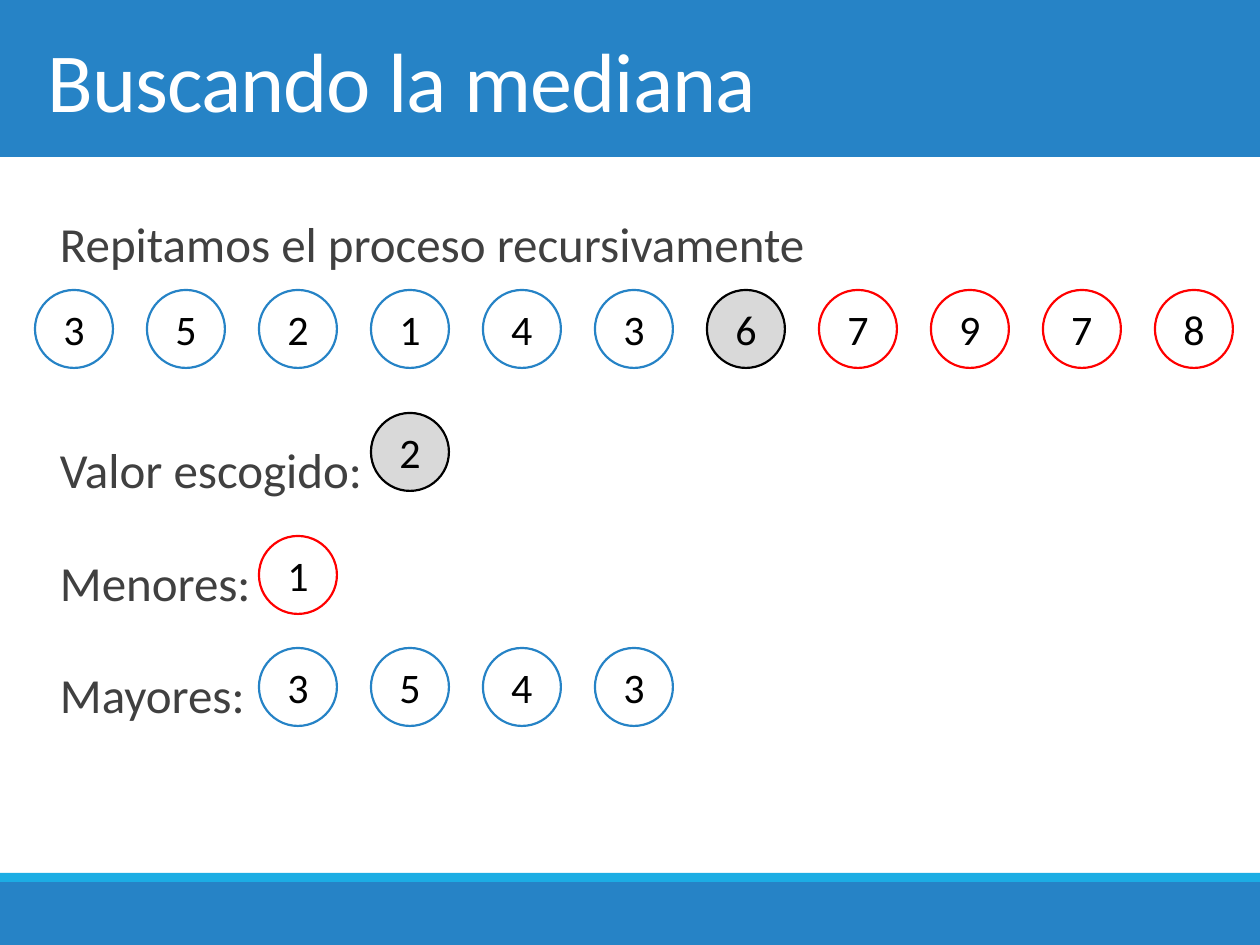
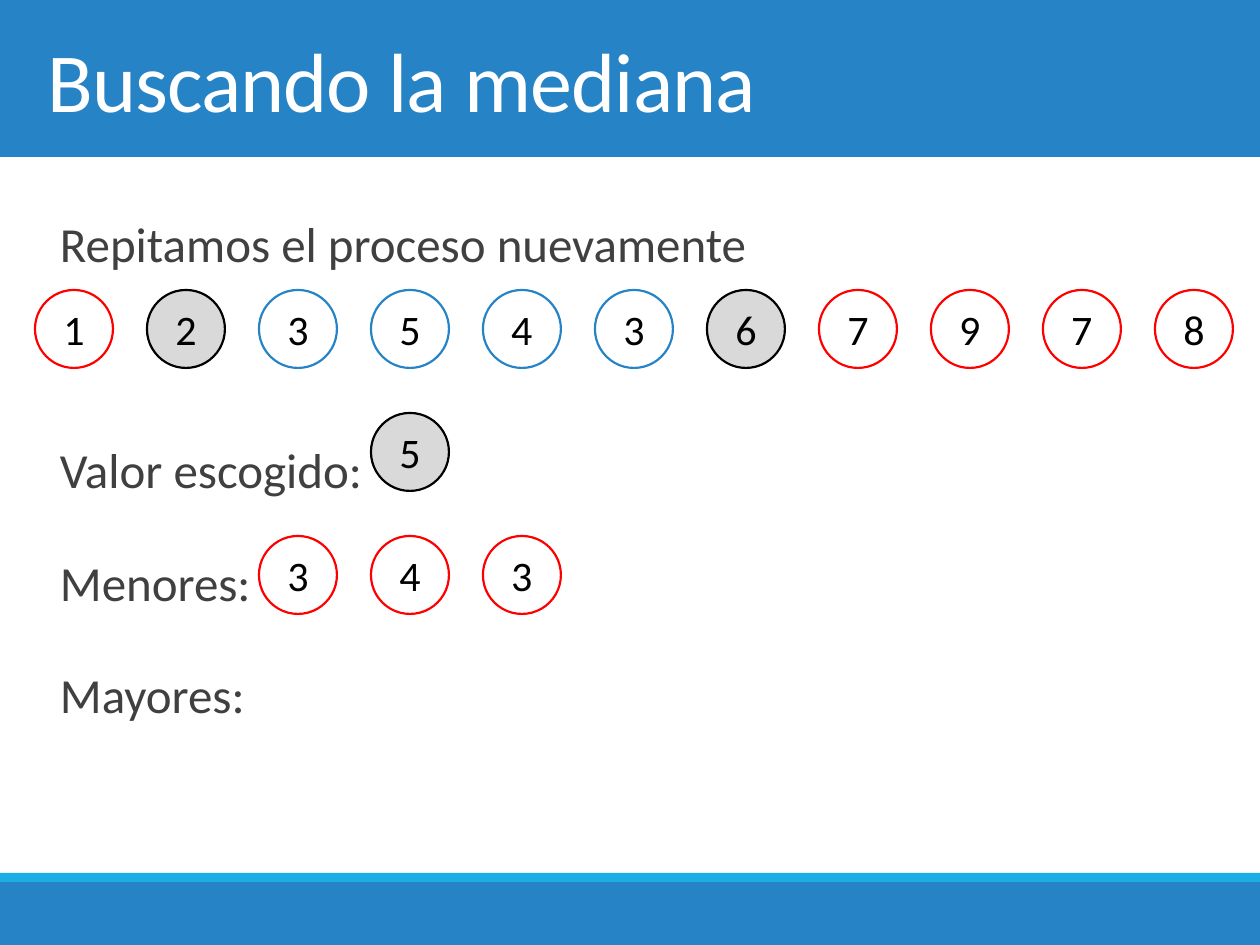
from dataclasses import dataclass

from pptx import Presentation
from pptx.dml.color import RGBColor
from pptx.enum.shapes import MSO_SHAPE as SHAPE
from pptx.enum.text import MSO_ANCHOR as ANCHOR, PP_ALIGN as ALIGN
from pptx.util import Pt

SCALE = 914400 // 126
WIDTH, HEIGHT = 1260, 945


@dataclass(frozen=True)
class Theme:
    """Colours, font and type sizes shared by the slides."""
    band: str = "2683C6"
    accent: str = "1CADE4"
    paper: str = "FFFFFF"
    body: str = "404040"
    ink: str = "000000"
    red: str = "FF0000"
    grey: str = "D9D9D9"
    font: str = "Calibri"
    title_size: int = 48
    body_size: int = 28
    number_size: int = 24


THEME = Theme()
SMALLER, LARGER, PIVOT = (
    (THEME.paper, THEME.red),
    (THEME.paper, THEME.band),
    (THEME.grey, THEME.ink),
)


def px(*lengths):
    """Turn picture pixels into EMU."""
    return [length * SCALE for length in lengths]


def rgb(value):
    """Return the colour of a hex string."""
    return RGBColor.from_string(value)


def style(p, size, color):
    """Set the font of a paragraph."""
    p.font.name = THEME.font
    p.font.size = Pt(size)
    p.font.color.rgb = rgb(color)


def add_shape(s, kind, box, fill, line=None):
    """Add a flat preset shape, outlined if a line colour is given."""
    sp = s.shapes.add_shape(kind, *px(*box))
    sp.shadow.inherit = False
    sp.fill.solid()
    sp.fill.fore_color.rgb = rgb(fill)
    if line:
        sp.line.color.rgb = rgb(line)
        sp.line.width = Pt(1.25)
    else:
        sp.line.fill.background()
    return sp


def add_text(s, box, anchor):
    """Add a wrapping text box and return its text frame."""
    tf = s.shapes.add_textbox(*px(*box)).text_frame
    tf.word_wrap = True
    tf.vertical_anchor = anchor
    return tf


def add_bands(s):
    """Draw the title band and the two footer bands."""
    for top, height, color in (
        (0, 157, THEME.band),
        (882, 63, THEME.band),
        (873, 9, THEME.accent),
    ):
        add_shape(s, SHAPE.RECTANGLE, (0, top, WIDTH, height), color)


def add_title(s, box, text):
    """Write the slide title in its band."""
    p = add_text(s, box, ANCHOR.MIDDLE).paragraphs[0]
    r = p.add_run()
    r.text = text
    r.font._element.set("spc", "-50")
    style(p, THEME.title_size, THEME.paper)


def add_labels(s, box, heading):
    """Write the heading and, below the number row, the group labels."""
    tf = add_text(s, box, ANCHOR.TOP)
    lines = (
        (heading, 12),
        ("Valor escogido:", 76.5),
        ("Menores:", 12),
        ("Mayores:", 12),
    )
    for i, (text, before) in enumerate(lines):
        p = tf.add_paragraph() if i else tf.paragraphs[0]
        p.text = text
        p.line_spacing = 1.5
        p.space_before, p.space_after = Pt(before), Pt(2)
        p._p.get_or_add_pPr().set("marL", "91440")
        style(p, THEME.body_size, THEME.body)


def add_numbers(s, left, top, numbers, diameter=78, pitch=112):
    """Draw a row of numbered circles from pairs of value and look."""
    for i, (number, (fill, line)) in enumerate(numbers):
        box = (left + i * pitch, top, diameter, diameter)
        sp = add_shape(s, SHAPE.OVAL, box, fill, line)
        tf = sp.text_frame
        tf.margin_left = tf.margin_right = 0
        tf.vertical_anchor = ANCHOR.MIDDLE
        p = tf.paragraphs[0]
        p.text = str(number)
        p.alignment = ALIGN.CENTER
        style(p, THEME.number_size, THEME.ink)


def group(look, *values):
    """Pair each value with the look of its group."""
    return [(value, look) for value in values]


def add_step(prs, heading, row, chosen, smaller, larger):
    """Build one slide that shows a step of the median search."""
    s = prs.slides.add_slide(prs.slide_layouts[6])
    left, width, pitch = 35, 1190, 112
    add_bands(s)
    add_title(s, (left, 0, width, 157), "Buscando la mediana")
    add_labels(s, (left, 178, width, 675), heading)
    add_numbers(s, left, 290, row)
    add_numbers(s, left + 3 * pitch, 413, group(PIVOT, chosen))
    add_numbers(s, left + 2 * pitch, 536, group(SMALLER, *smaller))
    add_numbers(s, left + 2 * pitch, 648, group(LARGER, *larger))


def main():
    """Build and save the presentation."""
    prs = Presentation()
    prs.slide_width, prs.slide_height = px(WIDTH, HEIGHT)
    settled = group(PIVOT, 6) + group(SMALLER, 7, 9, 7, 8)
    add_step(
        prs,
        "Repitamos el proceso recursivamente",
        group(LARGER, 3, 5, 2, 1, 4, 3) + settled,
        chosen=2,
        smaller=[1],
        larger=[3, 5, 4, 3],
    )
    add_step(
        prs,
        "Repitamos el proceso nuevamente",
        group(SMALLER, 1) + group(PIVOT, 2) + group(LARGER, 3, 5, 4, 3) + settled,
        chosen=5,
        smaller=[3, 4, 3],
        larger=[],
    )
    prs.save("out.pptx")


main()
